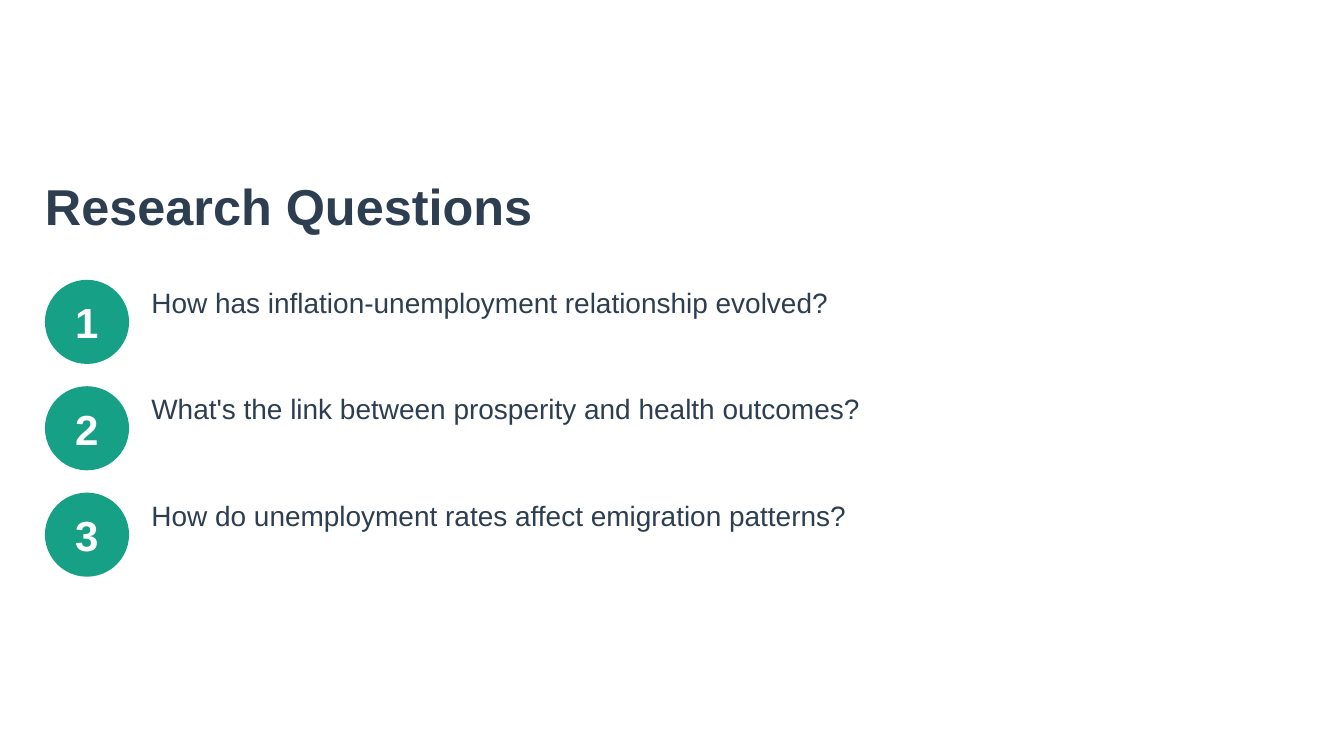
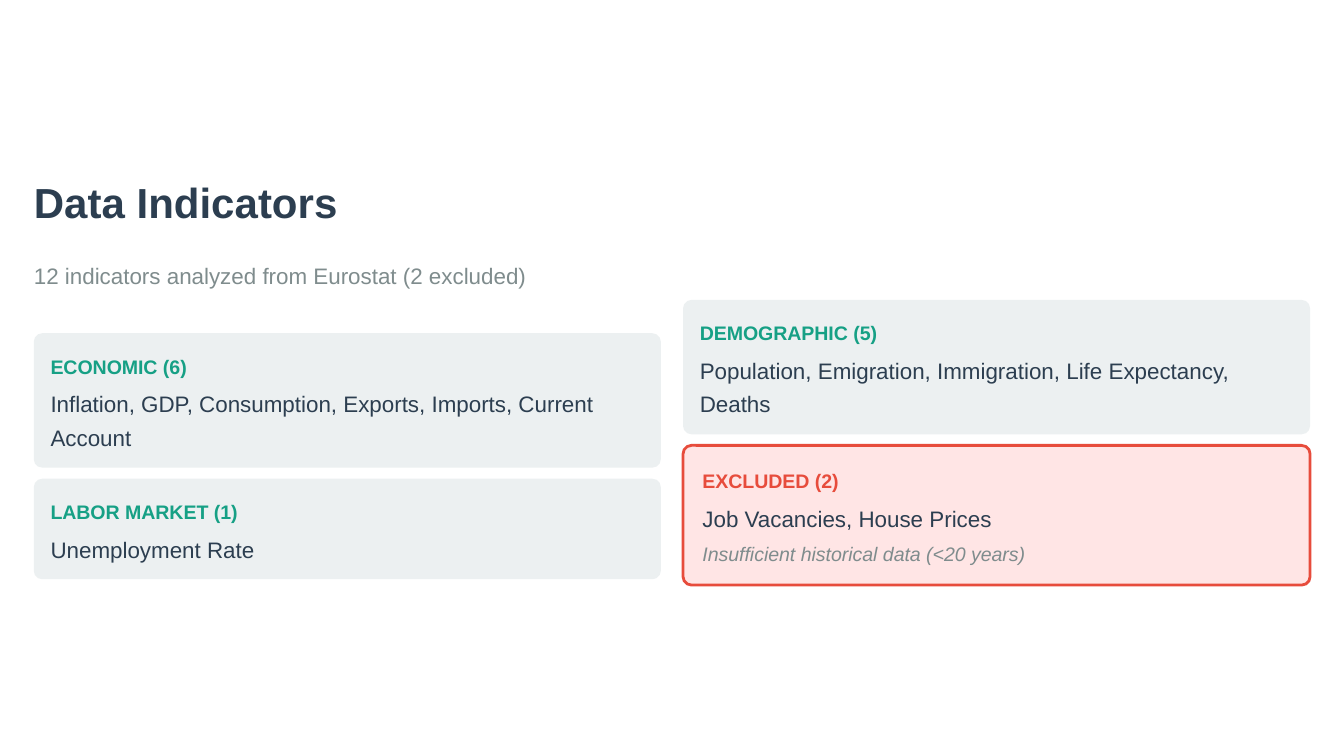
from dataclasses import dataclass

from lxml.etree import SubElement
from pptx import Presentation
from pptx.dml.color import RGBColor
from pptx.enum.shapes import MSO_SHAPE
from pptx.enum.text import MSO_ANCHOR, MSO_AUTO_SIZE, PP_ALIGN
from pptx.oxml.ns import qn
from pptx.util import Cm, Pt

# Content
QUESTIONS_TITLE = "Research Questions"
QUESTIONS = [
    "How has inflation-unemployment relationship evolved?",
    "What's the link between prosperity and health outcomes?",
    "How do unemployment rates affect emigration patterns?",
]
INDICATORS_TITLE = "Data Indicators"
INDICATORS_SUBTITLE = "12 indicators analyzed from Eurostat (2 excluded)"

# Each column: left, top, cards (height, heading, indicators, note), in cm
COLUMNS = [
    (0.64, 6.3, [
        (2.54, "ECONOMIC (6)",
         "Inflation, GDP, Consumption, Exports, Imports, Current Account", None),
        (1.9, "LABOR MARKET (1)", "Unemployment Rate", None),
    ]),
    (12.91, 5.67, [
        (2.54, "DEMOGRAPHIC (5)",
         "Population, Emigration, Immigration, Life Expectancy, Deaths", None),
        (2.64, "EXCLUDED (2)", "Job Vacancies, House Prices",
         "Insufficient historical data (<20 years)"),
    ]),
]


# Theme: colours, and text styles as (size, line spacing) in points
@dataclass(frozen=True)
class Theme:
    font: str = "Arial"
    ink: str = "2C3E50"
    muted: str = "7F8C8D"
    accent: str = "16A085"
    alert: str = "E74C3C"
    alert_fill: str = "FFE5E5"
    card_fill: str = "ECF0F1"
    white: str = "FFFFFF"
    title: tuple = (27, 30)
    large: tuple = (22.5, 27)
    question: tuple = (15, 21)
    body: tuple = (12, 18)
    small: tuple = (10.5, 15)


THEME = Theme()
CARD_WIDTH, CARD_GAP, CARD_RADIUS = 11.85, 0.21, 0.16
CIRCLE_SIZE, CIRCLE_LEFT = 1.59, 0.85
QUESTION_TOP, QUESTION_GAP = 5.29, 36  # cm, points


# Shared helpers
def prepare_frame(frame, anchor=MSO_ANCHOR.TOP, inset=0):
    frame.word_wrap = True
    frame.auto_size = MSO_AUTO_SIZE.NONE
    frame.vertical_anchor = anchor
    frame.margin_left = frame.margin_right = Cm(inset)
    frame.margin_top = frame.margin_bottom = Cm(inset)


def write(para, text, style, color, bold=False, italic=False,
          before=0, after=0, align=PP_ALIGN.LEFT):
    size, leading = style
    para.alignment = align
    para.line_spacing = Pt(leading)
    para.space_before, para.space_after = Pt(before), Pt(after)
    span = para.add_run()
    span.text = text
    span.font.name, span.font.size = THEME.font, Pt(size)
    span.font.bold, span.font.italic = bold, italic
    span.font.color.rgb = RGBColor.from_string(color)


def remove_bullet(para):
    properties = para._p.get_or_add_pPr()
    properties.set("marL", "0")
    properties.set("indent", "0")
    SubElement(properties, qn("a:buNone"))


def place(box, left, top, width, height):
    box.left, box.top, box.width, box.height = map(Cm, (left, top, width, height))
    prepare_frame(box.text_frame)


def add_page(deck, title, style, title_area, lines, line_style, color, body_area,
             before=0, after=0):
    page = deck.slides.add_slide(deck.slide_layouts[1])
    heading, body = page.placeholders
    place(heading, *title_area)
    write(heading.text_frame.paragraphs[0], title, style, THEME.ink, bold=True)
    place(body, *body_area)
    for index, line in enumerate(lines):
        frame = body.text_frame
        para = frame.add_paragraph() if index else frame.paragraphs[0]
        write(para, line, line_style, color, before=before, after=after)
        remove_bullet(para)
    return page


def add_rounded_box(page, left, top, width, height, radius, fill):
    box = page.shapes.add_shape(MSO_SHAPE.ROUNDED_RECTANGLE,
                                Cm(left), Cm(top), Cm(width), Cm(height))
    box.adjustments[0] = radius / min(width, height)
    box.shadow.inherit = False
    box.fill.solid()
    box.fill.fore_color.rgb = RGBColor.from_string(fill)
    box.line.fill.background()
    return box


# Slide 1: numbered questions
def build_questions(deck):
    page = add_page(deck, QUESTIONS_TITLE, THEME.title, (0.85, 3.39, 12.12, 1.06),
                    QUESTIONS, THEME.question, THEME.ink,
                    (2.86, QUESTION_TOP, 22.12, 4.76), after=QUESTION_GAP)
    pitch = Pt(THEME.question[1] + QUESTION_GAP).cm
    for index in range(len(QUESTIONS)):
        circle = add_rounded_box(page, CIRCLE_LEFT, QUESTION_TOP + index * pitch,
                                 CIRCLE_SIZE, CIRCLE_SIZE, CIRCLE_SIZE / 2, THEME.accent)
        prepare_frame(circle.text_frame, MSO_ANCHOR.MIDDLE)
        write(circle.text_frame.paragraphs[0], str(index + 1), THEME.large,
              THEME.white, bold=True, align=PP_ALIGN.CENTER)


# Slide 2: indicator cards in two columns
def add_card(page, left, top, height, heading, indicators, note):
    fill = THEME.alert_fill if note else THEME.card_fill
    card = add_rounded_box(page, left, top, CARD_WIDTH, height, CARD_RADIUS, fill)
    frame = card.text_frame
    prepare_frame(frame, inset=0.32 if note else 0.27)
    write(frame.paragraphs[0], heading, THEME.small,
          THEME.alert if note else THEME.accent, bold=True)
    write(frame.add_paragraph(), indicators, THEME.body, THEME.ink, before=3)
    if note:
        card.line.color.rgb = RGBColor.from_string(THEME.alert)
        card.line.width = Pt(1.5)
        write(frame.add_paragraph(), note, THEME.small, THEME.muted,
              italic=True, before=3)


def build_indicators(deck):
    page = add_page(deck, INDICATORS_TITLE, THEME.large, (0.64, 3.33, 6.07, 0.95),
                    [INDICATORS_SUBTITLE], THEME.body, THEME.muted,
                    (0.64, 4.83, 12.09, 0.64), before=3, after=3)
    for left, top, cards in COLUMNS:
        for height, *texts in cards:
            add_card(page, left, top, height, *texts)
            top += height + CARD_GAP


def main():
    deck = Presentation()
    deck.slide_width, deck.slide_height = Cm(25.4), Cm(14.29)
    build_questions(deck)
    build_indicators(deck)
    deck.save("out.pptx")


if __name__ == "__main__":
    main()
